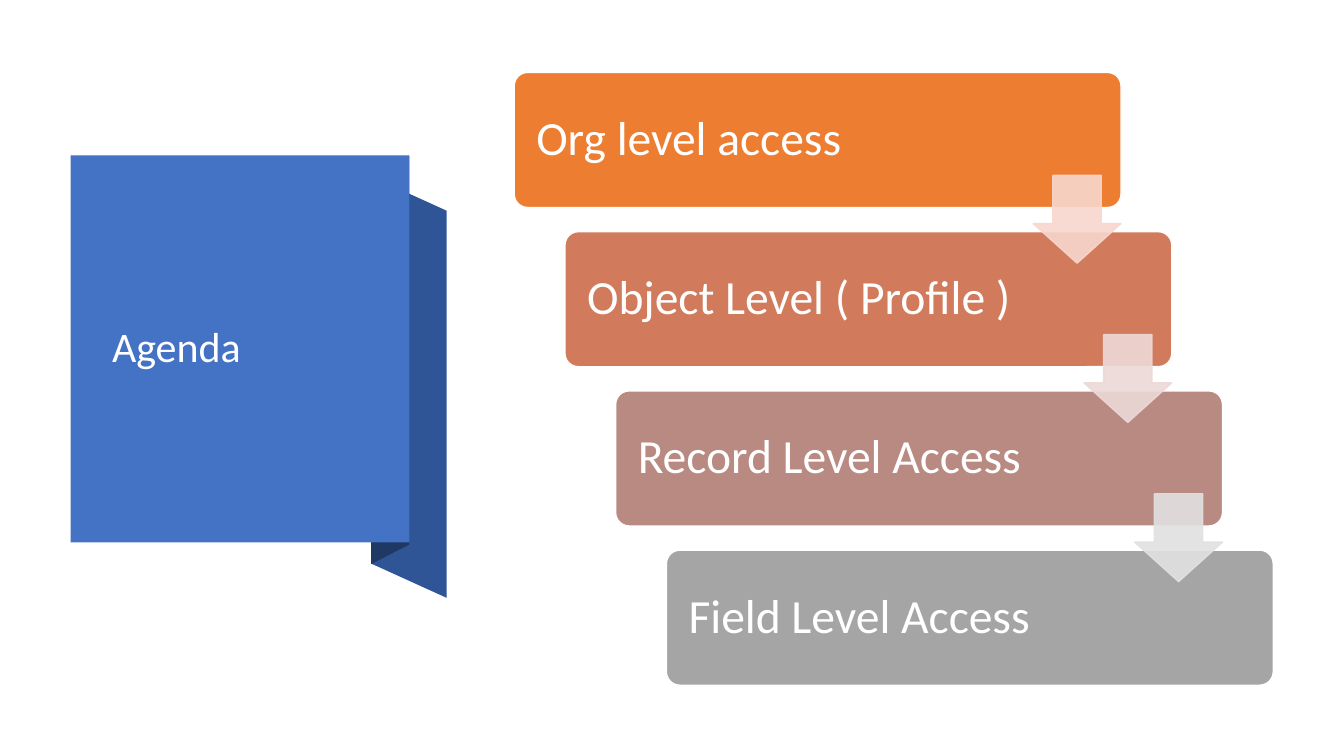
from pptx import Presentation
from pptx.dml.color import RGBColor
from pptx.enum.shapes import MSO_SHAPE
from pptx.enum.text import MSO_ANCHOR, PP_ALIGN
from pptx.oxml.ns import qn
from pptx.util import Pt
from lxml.etree import SubElement

WHITE = RGBColor(0xFF, 0xFF, 0xFF)
BLUE = RGBColor(0x44, 0x72, 0xC4)
FOLD_BLUE = RGBColor(0x2F, 0x55, 0x97)
FOLD_NAVY = RGBColor(0x20, 0x38, 0x64)

LEVELS = [
    ("Org level access", RGBColor(0xED, 0x7D, 0x31)),
    ("Object Level ( Profile )", RGBColor(0xD1, 0x7B, 0x5C)),
    ("Record Level Access", RGBColor(0xB9, 0x8A, 0x82)),
    ("Field Level Access", RGBColor(0xA5, 0xA5, 0xA5)),
]
ARROW_COLORS = [
    RGBColor(0xF8, 0xD7, 0xCE),
    RGBColor(0xED, 0xD9, 0xD7),
    RGBColor(0xE1, 0xE1, 0xE1),
]
STEP_X, STEP_Y = 36.25, 113.75


def paint(shape, fill, line=None):
    """Give the shape a plain fill, an optional 1 pt line and no shadow."""
    shape.shadow.inherit = False
    shape.fill.solid()
    shape.fill.fore_color.rgb = fill
    if line is None:
        shape.line.fill.background()
    else:
        shape.line.color.rgb = line
        shape.line.width = Pt(1)


def write(shape, text, size, left_margin):
    text_frame = shape.text_frame
    text_frame.text = text
    text_frame.word_wrap = True
    text_frame.vertical_anchor = MSO_ANCHOR.MIDDLE
    text_frame.margin_left = Pt(left_margin)
    paragraph = text_frame.paragraphs[0]
    paragraph.alignment = PP_ALIGN.LEFT
    paragraph.line_spacing = 0.9
    font = paragraph.runs[0].font
    font.name = "Calibri"
    font.size = Pt(size)
    font.color.rgb = WHITE


presentation = Presentation()
presentation.slide_width = Pt(960)
presentation.slide_height = Pt(540)
slide = presentation.slides.add_slide(presentation.slide_layouts[6])

# Folded ribbon behind the agenda panel
folds = [
    (FOLD_BLUE, [(319, 427), (265, 402.5), (265, 126), (319, 150.5)]),
    (FOLD_NAVY, [(292.3, 389), (265, 403), (265, 125.5), (292.3, 111.5)]),
]
for color, corners in folds:
    points = [(Pt(x), Pt(y)) for x, y in corners]
    builder = slide.shapes.build_freeform(*points[0], scale=1.0)
    builder.add_line_segments(points[1:], close=True)
    paint(builder.convert_to_shape(), color)

agenda = slide.shapes.add_shape(
    MSO_SHAPE.RECTANGLE, Pt(50.5), Pt(111), Pt(242), Pt(276.5))
paint(agenda, BLUE)
write(agenda, "Agenda", 30, 29.5)

# Staircase of access levels
for index, (label, color) in enumerate(LEVELS):
    card = slide.shapes.add_shape(
        MSO_SHAPE.ROUNDED_RECTANGLE,
        Pt(367.25 + index * STEP_X), Pt(51.75 + index * STEP_Y),
        Pt(433.5), Pt(96.5))
    card.adjustments[0] = 0.1
    paint(card, color, WHITE)
    write(card, label, 34, 13)

for index, color in enumerate(ARROW_COLORS):
    arrow = slide.shapes.add_shape(
        MSO_SHAPE.DOWN_ARROW,
        Pt(738 + index * STEP_X), Pt(125.25 + index * STEP_Y),
        Pt(62.75), Pt(62.75))
    arrow.adjustments[0] = 0.55
    arrow.adjustments[1] = 0.45
    paint(arrow, color, color)
    for color_element in arrow.element.spPr.iter(qn("a:srgbClr")):
        SubElement(color_element, qn("a:alpha")).set("val", "90000")

presentation.save("out.pptx")
